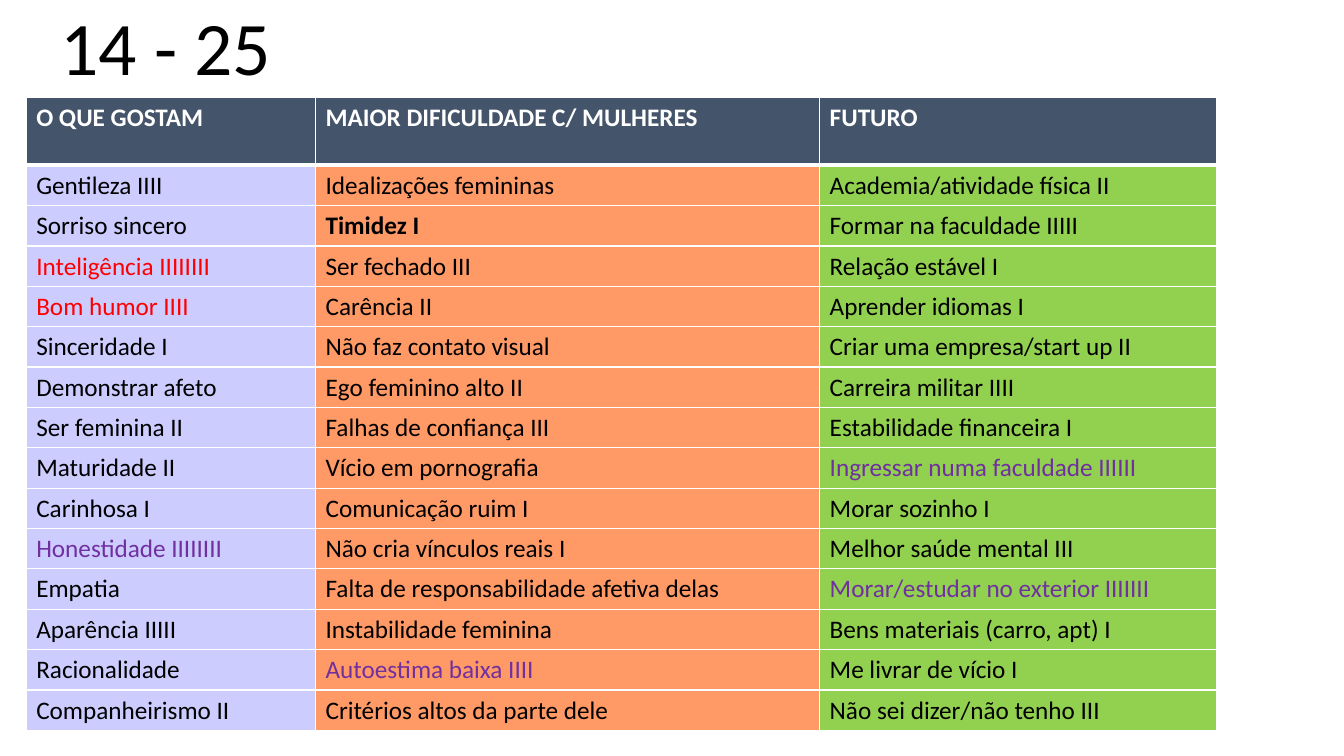
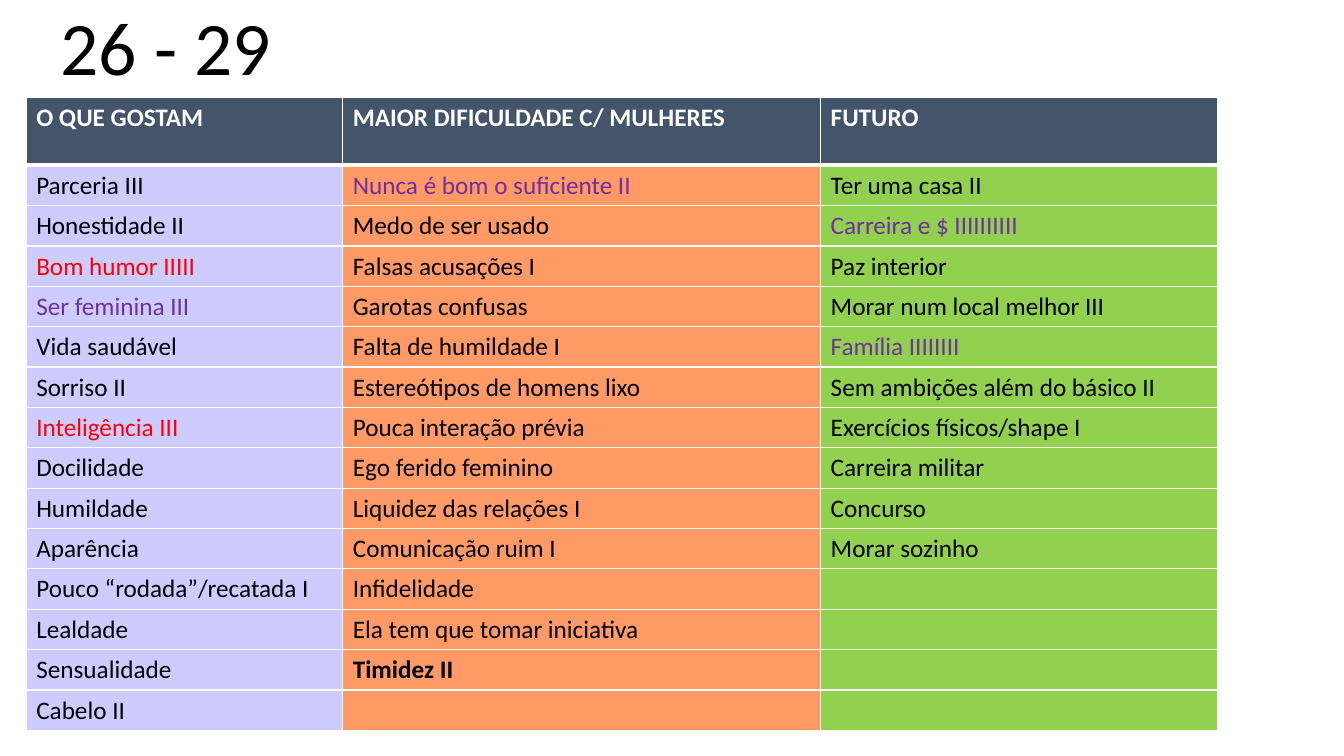
from dataclasses import dataclass

from lxml.etree import SubElement
from pptx import Presentation
from pptx.dml.color import RGBColor
from pptx.enum.text import MSO_ANCHOR, PP_ALIGN
from pptx.oxml.ns import qn
from pptx.util import Inches, Pt


@dataclass(frozen=True)
class Theme:
    font: str = "Calibri"
    title_size: int = 54
    table_size: int = 18
    text: str = "000000"
    white: str = "FFFFFF"
    header: str = "44546A"
    columns: tuple = ("CCCCFF", "FF9966", "92D050")
    red: str = "FF0000"
    purple: str = "7030A0"
    border: int = 1
    header_border: int = 3


THEME = Theme()
SLIDE_SIZE = (13.33, 7.5)
TITLE_BOX = (-1.34, 0.17, 5.97, 0.79)
TABLE_BOX = (0.26, 0.97, 11.81, 6.27)
HEADER_HEIGHT = 0.67
HEADINGS = ("O QUE GOSTAM", "MAIOR DIFICULDADE C/ MULHERES", "FUTURO")
RED = {"color": THEME.red}
PURPLE = {"color": THEME.purple}
BOLD = {"bold": True}

AGE_GROUPS = (
    {
        "title": "14 - 25",
        "widths": (2.87, 5, 3.94),
        "answers": (
            (
                "Gentileza IIII", "Sorriso sincero", "Inteligência IIIIIIII",
                "Bom humor IIII", "Sinceridade I", "Demonstrar afeto",
                "Ser feminina II", "Maturidade II", "Carinhosa I",
                "Honestidade IIIIIIII", "Empatia", "Aparência IIIII",
                "Racionalidade", "Companheirismo II",
            ),
            (
                "Idealizações femininas", "Timidez I", "Ser fechado III",
                "Carência II", "Não faz contato visual", "Ego feminino alto II",
                "Falhas de confiança III", "Vício em pornografia",
                "Comunicação ruim I", "Não cria vínculos reais I",
                "Falta de responsabilidade afetiva delas",
                "Instabilidade feminina", "Autoestima baixa IIII",
                "Critérios altos da parte dele",
            ),
            (
                "Academia/atividade física II", "Formar na faculdade IIIII",
                "Relação estável I", "Aprender idiomas I",
                "Criar uma empresa/start up II", "Carreira militar IIII",
                "Estabilidade financeira I", "Ingressar numa faculdade IIIIII",
                "Morar sozinho I", "Melhor saúde mental III",
                "Morar/estudar no exterior IIIIIII",
                "Bens materiais (carro, apt) I", "Me livrar de vício I",
                "Não sei dizer/não tenho III",
            ),
        ),
        "emphasis": {
            "Inteligência IIIIIIII": RED,
            "Bom humor IIII": RED,
            "Honestidade IIIIIIII": PURPLE,
            "Timidez I": BOLD,
            "Autoestima baixa IIII": PURPLE,
            "Ingressar numa faculdade IIIIII": PURPLE,
            "Morar/estudar no exterior IIIIIII": PURPLE,
        },
    },
    {
        "title": "26 - 29",
        "widths": (3.14, 4.74, 3.94),
        "answers": (
            (
                "Parceria III", "Honestidade II", "Bom humor IIIII",
                "Ser feminina III", "Vida saudável", "Sorriso II",
                "Inteligência III", "Docilidade", "Humildade", "Aparência",
                "Pouco “rodada”/recatada I", "Lealdade", "Sensualidade",
                "Cabelo II",
            ),
            (
                "Nunca é bom o suficiente II", "Medo de ser usado",
                "Falsas acusações I", "Garotas confusas",
                "Falta de humildade I", "Estereótipos de homens lixo",
                "Pouca interação prévia", "Ego ferido feminino",
                "Liquidez das relações I", "Comunicação ruim I",
                "Infidelidade", "Ela tem que tomar iniciativa", "Timidez II",
            ),
            (
                "Ter uma casa II", "Carreira e $ IIIIIIIIII", "Paz interior",
                "Morar num local melhor III", "Família IIIIIIII",
                "Sem ambições além do básico II", "Exercícios físicos/shape I",
                "Carreira militar", "Concurso", "Morar sozinho",
            ),
        ),
        "emphasis": {
            "Bom humor IIIII": RED,
            "Ser feminina III": PURPLE,
            "Inteligência III": RED,
            "Nunca é bom o suficiente II": PURPLE,
            "Timidez II": BOLD,
            "Carreira e $ IIIIIIIIII": PURPLE,
            "Família IIIIIIII": PURPLE,
        },
    },
)


def set_values(target, values):
    for name, value in values.items():
        setattr(target, name, value)


def write_text(para, text, size, color=THEME.text, bold=False):
    span = para.add_run()
    span.text = text
    set_values(span.font, {"name": THEME.font, "size": Pt(size), "bold": bold})
    span.font.color.rgb = RGBColor.from_string(color)


def add_title(page, box, text):
    frame = page.shapes.add_textbox(*map(Inches, box)).text_frame
    set_values(frame, {"word_wrap": True, "vertical_anchor": MSO_ANCHOR.BOTTOM})
    para = frame.paragraphs[0]
    set_values(para, {"alignment": PP_ALIGN.CENTER, "line_spacing": 0.9})
    write_text(para, text, THEME.title_size)


def add_borders(cell, top, bottom):
    properties = cell._tc.get_or_add_tcPr()
    widths = {"lnL": THEME.border, "lnR": THEME.border, "lnT": top, "lnB": bottom}
    for side, width in widths.items():
        line = SubElement(properties, qn(f"a:{side}"), w=str(Pt(width)))
        fill = SubElement(line, qn("a:solidFill"))
        SubElement(fill, qn("a:srgbClr"), val=THEME.white)


def fill_cell(cell, text, fill, top=THEME.border, bottom=THEME.border, **style):
    add_borders(cell, top, bottom)
    cell.fill.solid()
    cell.fill.fore_color.rgb = RGBColor.from_string(fill)
    if text:
        write_text(cell.text_frame.paragraphs[0], text, THEME.table_size, **style)


def add_answer_table(page, box, group):
    answers = group["answers"]
    answer_count = max(map(len, answers))
    table = page.shapes.add_table(
        answer_count + 1, len(answers), *map(Inches, box)
    ).table
    table.horz_banding = False
    row_height = (box[3] - HEADER_HEIGHT) / answer_count
    for index, row in enumerate(table.rows):
        row.height = Inches(row_height if index else HEADER_HEIGHT)
    for column, width in enumerate(group["widths"]):
        table.columns[column].width = Inches(width)
        fill_cell(
            table.cell(0, column), HEADINGS[column], THEME.header,
            bottom=THEME.header_border, color=THEME.white, bold=True,
        )
        for index in range(answer_count):
            text = answers[column][index] if index < len(answers[column]) else ""
            fill_cell(
                table.cell(index + 1, column), text, THEME.columns[column],
                top=THEME.border if index else THEME.header_border,
                **group["emphasis"].get(text, {}),
            )


def add_age_slide(deck, group):
    page = deck.slides.add_slide(deck.slide_layouts[6])
    add_title(page, TITLE_BOX, group["title"])
    add_answer_table(page, TABLE_BOX, group)


def main():
    deck = Presentation()
    width, height = map(Inches, SLIDE_SIZE)
    set_values(deck, {"slide_width": width, "slide_height": height})
    for group in AGE_GROUPS:
        add_age_slide(deck, group)
    deck.save("out.pptx")


if __name__ == "__main__":
    main()
